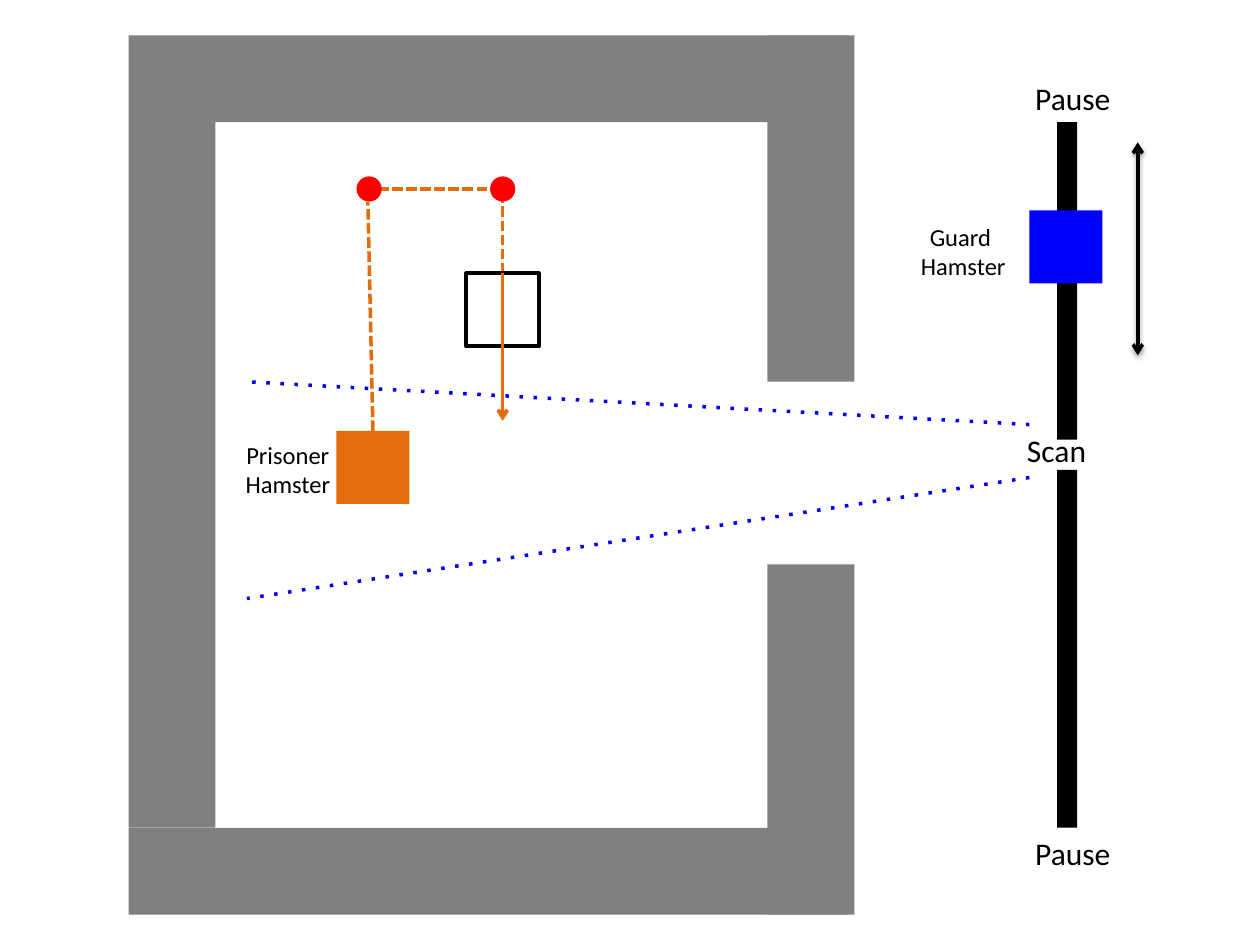
import pptx
import pptx.util
import pptx.oxml
import pptx.oxml.ns
import pptx.dml.color
import pptx.enum.dml
import pptx.enum.shapes
import pptx.enum.text
from lxml import etree

Inches, Pt = pptx.util.Inches, pptx.util.Pt
KIND = pptx.enum.shapes.MSO_SHAPE
DASH = pptx.enum.dml.MSO_LINE
qn = pptx.oxml.ns.qn

HUES = {"wall": "808080", "black": "000000", "white": "FFFFFF",
        "orange": "E46C0A", "blue": "0000FF", "red": "FF0000"}


class Board:
    font = "Calibri"
    width = 2

    def __init__(self, slide):
        self.slide = slide

    def hue(self, name):
        return pptx.dml.color.RGBColor.from_string(HUES[name])

    def shape(self, x, y, w, h, fill, kind=KIND.RECTANGLE, edge=None):
        item = self.slide.shapes.add_shape(
            kind, Inches(x), Inches(y), Inches(w), Inches(h))
        item.shadow.inherit = False
        item.fill.solid()
        item.fill.fore_color.rgb = self.hue(fill)
        if edge:
            item.line.color.rgb = self.hue(edge)
            item.line.width = Pt(2.25)
        else:
            item.line.fill.background()
        return item

    def line(self, x1, y1, x2, y2, color, dash=None, heads=(), shadow=False):
        item = self.slide.shapes.add_connector(
            pptx.enum.shapes.MSO_CONNECTOR.STRAIGHT,
            Inches(x1), Inches(y1), Inches(x2), Inches(y2))
        item.line.color.rgb = self.hue(color)
        item.line.width = Pt(self.width)
        if dash:
            item.line.dash_style = dash
        pen = item.line._get_or_add_ln()
        for end in heads:
            etree.SubElement(pen, qn("a:" + end), type="arrow")
        effects = etree.SubElement(item._element.spPr, qn("a:effectLst"))
        if shadow:
            cast = etree.SubElement(
                effects, qn("a:outerShdw"), blurRad=str(Pt(3.1)),
                dist=str(Pt(1.6)), dir="5400000", rotWithShape="0")
            tint = etree.SubElement(cast, qn("a:srgbClr"), val=HUES["black"])
            etree.SubElement(tint, qn("a:alpha"), val="38000")
        return item

    def label(self, x, y, h, text, size):
        box = self.slide.shapes.add_textbox(
            Inches(x), Inches(y), Inches(1.03), Inches(h))
        frame = box.text_frame
        frame.word_wrap = True
        frame.auto_size = pptx.enum.text.MSO_AUTO_SIZE.SHAPE_TO_FIT_TEXT
        frame.text = text
        for para in frame.paragraphs:
            para.alignment = pptx.enum.text.PP_ALIGN.CENTER
            for run in para.runs:
                run.font.name = self.font
                run.font.size = Pt(size)
                run.font.color.rgb = self.hue("black")


def main():
    deck = pptx.Presentation()
    deck.slide_width, deck.slide_height = Inches(10), Inches(7.5)
    board = Board(deck.slides.add_slide(deck.slide_layouts[6]))

    # Route behind the box
    rise = board.line(3.99, 2.17, 3.99, 1.4, "orange", DASH.SQUARE_DOT)
    board.line(4.09, 1.5, 3.02, 1.5, "orange", DASH.SQUARE_DOT)

    # Room walls
    thick = 0.69
    for y in (0.28, 6.57):
        board.shape(1.02, y, 5.71, thick, "wall")
    for x, y, h in ((6.09, 0.28, 2.75), (1.02, 0.97, 5.6), (6.09, 4.48, 2.78)):
        board.shape(x, y, thick, h, "wall")

    # Guard track
    for y, h in ((0.97, 2.52), (3.73, 2.84)):
        board.shape(8.39, y, 0.16, h, "black")

    # Hamsters, patrol arrow, box and turning points
    side = 0.58
    inmate = board.shape(2.67, 3.42, side, side, "orange")
    board.shape(8.17, 1.67, side, side, "blue")
    board.line(9.03, 1.13, 9.03, 2.82, "black",
               heads=("headEnd", "tailEnd"), shadow=True)
    crate = board.shape(3.7, 2.17, side, side, "white", edge="black")
    for x in (3.89, 2.83):
        board.shape(x, 1.4, 0.2, 0.2, "red", KIND.OVAL)

    # Route in front
    climb = board.line(2.96, 3.42, 2.92, 1.6, "orange", DASH.SQUARE_DOT)
    drop = board.line(3.99, 2.17, 3.99, 3.34, "orange", heads=("tailEnd",))
    for route, start in ((rise, crate), (climb, inmate), (drop, crate)):
        route.begin_connect(start, 0)

    # Track labels
    for x, y, text in ((8, 0.58, "Pause"), (8, 6.57, "Pause"),
                       (7.87, 3.37, "Scan")):
        board.label(x, y, 0.4, text, 18)

    # Field of view
    for near, far in ((3.37, 3.03), (3.79, 4.75)):
        board.line(8.17, near, 1.96, far, "blue", DASH.ROUND_DOT).line \
            ._get_or_add_ln().find(qn("a:prstDash")).set("val", "dot")

    # Hamster names
    for x, y, text in ((7.13, 1.71, "Guard \nHamster"),
                       (1.77, 3.44, "Prisoner\nHamster")):
        board.label(x, y, 0.57, text, 14)

    deck.save("out.pptx")


if __name__ == "__main__":
    main()
